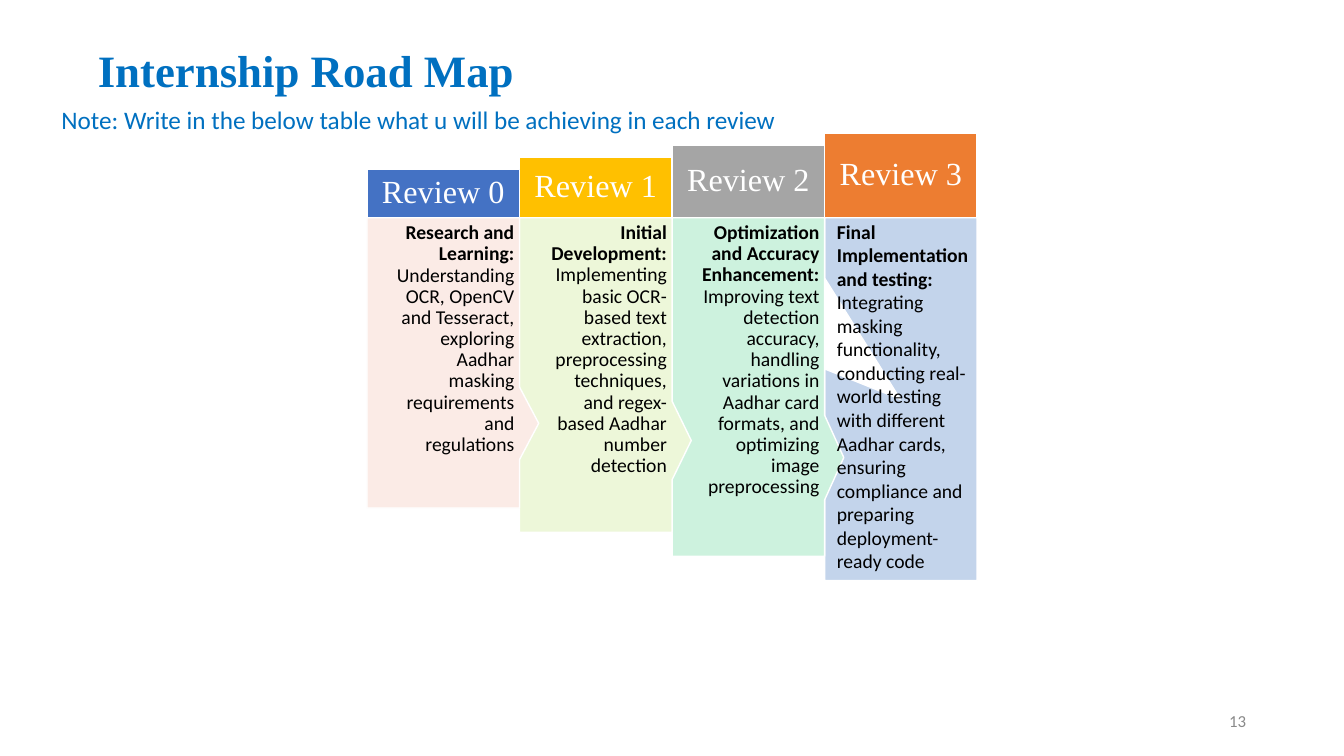
from pptx import Presentation
from pptx.dml.color import RGBColor
from pptx.enum.shapes import MSO_SHAPE
from pptx.enum.text import MSO_ANCHOR, MSO_AUTO_SIZE, PP_ALIGN
from pptx.util import Inches, Pt

LEFT, CENTER, RIGHT = PP_ALIGN.LEFT, PP_ALIGN.CENTER, PP_ALIGN.RIGHT
TOP, MIDDLE = MSO_ANCHOR.TOP, MSO_ANCHOR.MIDDLE
RECT = MSO_SHAPE.RECTANGLE
SERIF, SANS = "Times New Roman", "Calibri"
COLORS = {"title": "0070C0", "page": "898989", "text": "000000", "white": "FFFFFF"}

# Column grid in inches
START, BASE, COL = 3.64, 2.16, 1.513
HEAD, HEAD_STEP = 0.48, 0.12
BODY, BODY_STEP = 2.88, 0.24
INDENT = 0.19

# Side outline of a column: x in inches from the left edge, y as a share of height
ARROW = [(COL, 7 / 12), (COL + 0.19, 17 / 24), (COL, 5 / 6)]
NOTCH = [(0, 5 / 12), (0.75, 1 / 2), (0, 1 / 6)]

REVIEWS = [
    ("4472C4", "FBEBE6", "Research and Learning:",
     " Understanding OCR, OpenCV and Tesseract, exploring Aadhar masking "
     "requirements and regulations"),
    ("FFC000", "EDF7D9", "Initial Development: ",
     "Implementing basic OCR-based text extraction, preprocessing techniques, "
     "and regex-based Aadhar number detection"),
    ("A5A5A5", "CDF2DE", "Optimization and Accuracy Enhancement: ",
     "Improving text detection accuracy, handling variations in Aadhar card "
     "formats, and optimizing image preprocessing"),
    ("ED7D31", "C3D4EB", "Final Implementation and testing: ",
     "Integrating masking functionality, conducting real-world testing with "
     "different Aadhar cards, ensuring compliance and preparing "
     "deployment-ready code"),
]


def write(shape, parts, size, font, color, align=LEFT, anchor=TOP, wrap=True, inset=0.05):
    """Fill a shape with one paragraph made of (text, bold) parts."""
    frame = shape.text_frame
    frame.word_wrap = wrap
    frame.auto_size = MSO_AUTO_SIZE.NONE
    frame.vertical_anchor = anchor
    frame.margin_left = frame.margin_right = Inches(0.05)
    frame.margin_top = frame.margin_bottom = Inches(inset)
    para = frame.paragraphs[0]
    para.alignment = align
    for text, bold in parts:
        run = para.add_run()
        run.text = text
        run.font.size = Pt(size)
        run.font.name = font
        run.font.bold = bold
        run.font.color.rgb = RGBColor.from_string(COLORS[color])
    return para


def paint(shape, fill):
    shape.shadow.inherit = False
    shape.fill.solid()
    shape.fill.fore_color.rgb = RGBColor.from_string(fill)
    shape.line.color.rgb = RGBColor.from_string(COLORS["white"])
    shape.line.width = Pt(1)


deck = Presentation()
deck.slide_width, deck.slide_height = Inches(13.33), Inches(7.5)
slide = deck.slides.add_slide(deck.slide_layouts[5])
shapes = slide.shapes

title = shapes.title
title.left, title.top = Inches(0.92), Inches(0.4)
title.width, title.height = Inches(11.5), Inches(0.65)
para = write(title, [("Internship Road Map", True)], 32, SERIF, "title", anchor=MIDDLE)
para.line_spacing = 0.9

page = shapes.add_textbox(Inches(12.13), Inches(7.02), Inches(0.28), Inches(0.27))
write(page, [("13", False)], 12, SANS, "page", RIGHT, MIDDLE, wrap=False)

# Later columns lie behind earlier ones, whose arrows overlap them
last = len(REVIEWS) - 1
for num, (dark, pale, topic, detail) in reversed(list(enumerate(REVIEWS))):
    left = START + num * COL
    tall = BODY + num * BODY_STEP
    high = HEAD + num * HEAD_STEP

    if num == last:
        edge = [(COL, 0), (COL, 1), (0, 1)] + NOTCH
    else:
        edge = [(COL, 0)] + ARROW + [(COL, 1), (0, 1)]
    outline = shapes.build_freeform(Inches(left), Inches(BASE))
    outline.add_line_segments(
        [(Inches(left + x), Inches(BASE + y * tall)) for x, y in edge])
    paint(outline.convert_to_shape(), pale)

    head = shapes.add_shape(RECT, Inches(left), Inches(BASE - high), Inches(COL), Inches(high))
    paint(head, dark)
    para = write(head, [(f"Review {num}", False)], 23, SERIF, "white", CENTER, MIDDLE, inset=0)
    para.line_spacing = 0.9

# Text goes above every column, so that no arrow covers it
for num, (dark, pale, topic, detail) in enumerate(REVIEWS):
    if num == last:
        spot, align = (8.25, 2.13, 1.53, 3.56), LEFT
    else:
        tall = BODY + num * BODY_STEP
        spot = (START + num * COL + INDENT, BASE, COL - INDENT, tall - 0.29)
        align = RIGHT
    box = shapes.add_textbox(*map(Inches, spot))
    para = write(box, [(topic, True), (detail, False)], 14, SANS, "text", align)
    if num < last:
        para.line_spacing = 0.9
        para.space_before = Pt(5)

note = shapes.add_textbox(Inches(0.56), Inches(0.99), Inches(7.2), Inches(0.36))
write(note, [("Note: Write in the below table what u will be achieving in each review", False)],
      18, SANS, "title", wrap=False)

deck.save("out.pptx")
